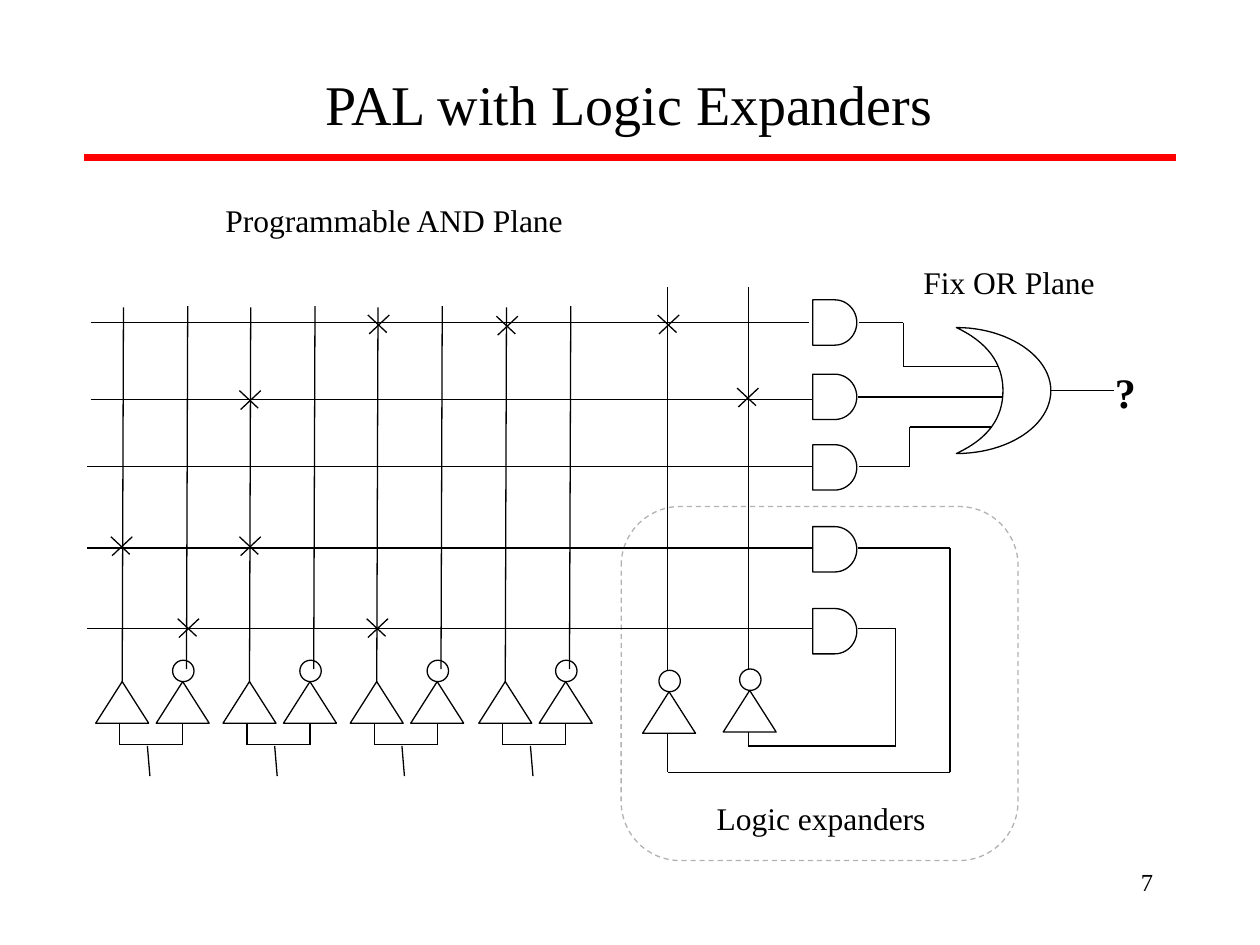
from lxml.etree import SubElement
from pptx import Presentation
from pptx.dml.color import RGBColor
from pptx.enum.dml import MSO_LINE
from pptx.enum.shapes import MSO_CONNECTOR, MSO_SHAPE
from pptx.enum.text import PP_ALIGN
from pptx.oxml.ns import qn
from pptx.util import Inches, Pt


def color(hex_string):
    return RGBColor.from_string(hex_string)


def bezier(start, control_1, control_2, end, steps=24):
    """Points along a cubic curve, without its start."""
    points = []
    for step in range(1, steps + 1):
        t = step / steps
        weights = ((1 - t) ** 3, 3 * t * (1 - t) ** 2, 3 * t ** 2 * (1 - t), t ** 3)
        corners = (start, control_1, control_2, end)
        points.append(tuple(sum(weight * corner[axis] for weight, corner in zip(weights, corners))
                            for axis in (0, 1)))
    return points


class CircuitSlide:
    font_name = "Times New Roman"
    ink = "000000"
    paper = "FFFFFF"
    line_width = 0.75

    def __init__(self, presentation):
        self.slide = presentation.slides.add_slide(presentation.slide_layouts[6])

    def style(self, shape, line_color):
        shape.shadow.inherit = False
        shape.fill.solid()
        shape.fill.fore_color.rgb = color(self.paper)
        shape.line.color.rgb = color(line_color)
        shape.line.width = Pt(self.line_width)

    def shape(self, kind, left, top, width, height, line_color=ink):
        shape = self.slide.shapes.add_shape(
            kind, Inches(left), Inches(top), Inches(width), Inches(height))
        self.style(shape, line_color)
        return shape

    def wire(self, *points, line_color=ink, width=line_width):
        """Join the points with straight connectors."""
        for start, end in zip(points, points[1:]):
            connector = self.slide.shapes.add_connector(
                MSO_CONNECTOR.STRAIGHT, *(Inches(value) for value in start + end))
            connector.line.color.rgb = color(line_color)
            connector.line.width = Pt(width)
            SubElement(connector._element.spPr, qn("a:effectLst"))

    def text(self, words, left, top, width, height, size, align=PP_ALIGN.LEFT,
             bold=False, wrap=False):
        box = self.slide.shapes.add_textbox(
            Inches(left), Inches(top), Inches(width), Inches(height))
        box.text_frame.word_wrap = wrap
        paragraph = box.text_frame.paragraphs[0]
        paragraph.text = words
        paragraph.alignment = align
        paragraph.font.name = self.font_name
        paragraph.font.size = Pt(size)
        paragraph.font.bold = bold
        paragraph.font.color.rgb = color(self.ink)

    def buffer(self, left, top):
        self.shape(MSO_SHAPE.ISOSCELES_TRIANGLE, left, top, 0.42, 0.33)

    def inverter(self, left, top):
        self.buffer(left, top)
        self.shape(MSO_SHAPE.OVAL, left + 0.13, top - 0.17, 0.17, 0.17)

    def input_pair(self, left):
        """One input with its true and inverted columns."""
        self.inverter(left + 0.48, 5.41)
        self.wire((left + 0.19, 5.74), (left + 0.19, 5.91),
                  (left + 0.69, 5.91), (left + 0.69, 5.74))
        self.wire((left + 0.41, 5.92), (left + 0.43, 6.16))
        self.wire((left + 0.21, 5.5), (left + 0.22, 2.44))
        self.wire((left + 0.72, 5.31), (left + 0.73, 2.43))
        self.buffer(left, 5.41)

    def and_gate(self, top):
        self.shape(MSO_SHAPE.FLOWCHART_DELAY, 6.45, top, 0.35, 0.36)

    def or_gate(self):
        top, inner, bottom, outer = (7.59, 2.6), (7.96, 3.1), (7.59, 3.6), (8.34, 3.1)
        outline = (bezier(top, (7.78, 2.69), (7.96, 2.84), inner)
                   + bezier(inner, (7.96, 3.37), (7.78, 3.51), bottom)
                   + bezier(bottom, (8, 3.6), (8.34, 3.38), outer)
                   + bezier(outer, (8.34, 2.83), (8, 2.6), top))
        points = [(Inches(x), Inches(y)) for x, y in outline]
        builder = self.slide.shapes.build_freeform(*points[-1])
        builder.add_line_segments(points, close=True)
        self.style(builder.convert_to_shape(), self.ink)

    def cross(self, left, top):
        """Mark a programmed connection."""
        self.wire((left + 0.17, top), (left + 0.01, top + 0.15))
        self.wire((left, top), (left + 0.15, top + 0.14))


def main():
    presentation = Presentation()
    presentation.slide_width = Inches(10)
    presentation.slide_height = Inches(7.5)
    circuit = CircuitSlide(presentation)

    circuit.wire((0.67, 1.25), (9.33, 1.25), line_color="FF0000", width=4.5)
    expander_frame = circuit.shape(MSO_SHAPE.ROUNDED_RECTANGLE, 4.93, 4.02, 3.15, 2.81, "B2B2B2")
    expander_frame.line.dash_style = MSO_LINE.DASH

    # Product rows: wire start, wire end, wire height, gate top
    for start, end, height, gate_top in ((0.72, 6.42, 2.56, 2.38), (0.72, 6.45, 3.17, 2.97),
                                         (0.69, 6.47, 3.7, 3.53), (0.69, 6.45, 4.35, 4.18),
                                         (0.69, 6.47, 4.99, 4.83)):
        circuit.wire((start, height), (end, height))
        circuit.and_gate(gate_top)

    for left in (0.76, 1.77, 2.78, 3.8):
        circuit.input_pair(left)

    # Expander columns, their inverters and the feedback from the lower gates
    circuit.wire((5.3, 5.35), (5.3, 2.28))
    circuit.wire((5.94, 5.31), (5.94, 2.28))
    circuit.inverter(5.1, 5.49)
    circuit.inverter(5.74, 5.48)
    circuit.wire((6.81, 4.35), (7.54, 4.35), (7.54, 6.13), (5.3, 6.13), (5.3, 5.82))
    circuit.wire((6.81, 4.99), (7.11, 4.99), (7.11, 5.92), (5.94, 5.92), (5.94, 5.81))

    circuit.or_gate()
    circuit.wire((6.82, 2.56), (7.17, 2.56), (7.17, 2.91), (7.92, 2.91))
    circuit.wire((6.81, 3.15), (7.95, 3.15))
    circuit.wire((6.82, 3.7), (7.22, 3.7), (7.22, 3.39), (7.87, 3.39))
    circuit.wire((8.34, 3.1), (8.84, 3.1))

    for left, top in ((2.92, 2.5), (3.94, 2.51), (5.22, 2.5), (1.9, 3.1), (5.85, 3.08),
                      (0.88, 4.26), (1.9, 4.26), (1.41, 4.91), (2.91, 4.91)):
        circuit.cross(left, top)

    circuit.text("PAL with Logic Expanders", 0.58, 0.5, 8.83, 0.64, 32, PP_ALIGN.CENTER, wrap=True)
    circuit.text("Programmable AND Plane", 1.69, 1.55, 2.89, 0.4, 18)
    circuit.text("Fix OR Plane", 7.23, 2.04, 1.56, 0.4, 18)
    circuit.text("Logic expanders", 5.59, 6.29, 1.86, 0.4, 18)
    circuit.text("?", 8.75, 2.86, 0.36, 0.5, 24, bold=True)
    circuit.text("7", 7.17, 6.83, 2.08, 0.5, 14, PP_ALIGN.RIGHT, wrap=True)

    presentation.save("out.pptx")


if __name__ == "__main__":
    main()
